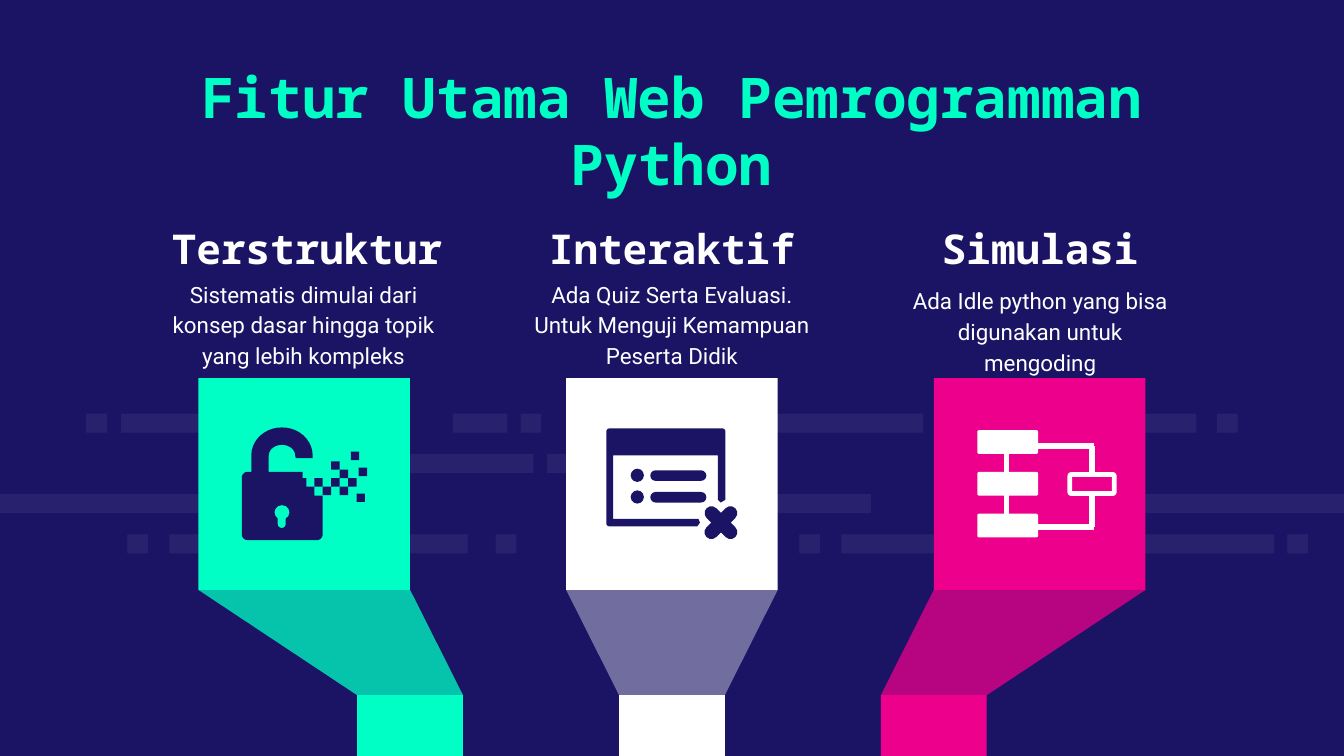
import math
from dataclasses import dataclass

import lxml.etree
import pptx
import pptx.dml.color
import pptx.enum.shapes
import pptx.enum.text
import pptx.oxml.ns
import pptx.util

Cm = pptx.util.Cm
SHAPE = pptx.enum.shapes.MSO_SHAPE
ANCHOR = pptx.enum.text.MSO_ANCHOR
Points = list[tuple[float, float]]

COLORS = {"navy": "1B1464", "mint": "00FFC5", "white": "FFFFFF", "pink": "EC008C"}
MONO, SANS = "Noto Sans Mono", "Roboto"
SLIDE_WIDTH, SLIDE_HEIGHT = 25.4, 14.29
BLOCK_SIZE, BLOCK_TOP, NECK_WIDTH, NECK_BOTTOM = 4.0, 7.15, 2.0, 13.14


@dataclass
class Feature:
    heading: str
    description: str
    description_top: float
    heading_width: float
    color: str
    neck_layers: list[tuple[str, int]]  # colour and opacity in percent


FEATURES = [
    Feature("Terstruktur", "Sistematis dimulai dari konsep dasar hingga topik yang lebih kompleks",
            5.23, 5.87, "mint", [("mint", 100), ("navy", 25)]),
    Feature("Interaktif", "Ada Quiz Serta Evaluasi. Untuk Menguji Kemampuan Peserta Didik",
            5.23, 5.74, "white", [("white", 38)]),
    Feature("Simulasi", "Ada Idle python yang bisa digunakan untuk mengoding",
            5.36, 5.74, "pink", [("pink", 100), ("navy", 25)]),
]

# Left and width of the faint dashes, row by row
DASH_ROWS = [
    [(1.63, 0.39), (2.29, 3.71), (8.56, 1.03), (9.84, 0.39), (14.25, 3.2), (19.41, 3.2), (23, 0.39)],
    [(7.59, 2.49), (10.34, 1.02)],
    [(0, 3.76), (12.7, 3.76), (21.64, 3.76)],
    [(2.41, 0.39), (3.2, 5.64), (9.37, 0.39), (15.11, 0.39), (15.9, 8.18), (24.33, 0.39)],
]
LOCK_PIXELS = [(5.94, 9.04), (6.1, 9.2), (6.26, 8.72), (6.26, 9.04), (6.42, 8.88), (6.42, 9.2),
               (6.58, 9.04), (6.63, 8.54), (6.74, 9.33), (6.78, 8.84)]

presentation = pptx.Presentation()
presentation.slide_width, presentation.slide_height = Cm(SLIDE_WIDTH), Cm(SLIDE_HEIGHT)
slide = presentation.slides.add_slide(presentation.slide_layouts[6])


def rgb(color: str) -> pptx.dml.color.RGBColor:
    return pptx.dml.color.RGBColor.from_string(COLORS[color])


def paint(shape, color: str, opacity: int = 100) -> None:
    shape.shadow.inherit = False
    shape.line.fill.background()
    shape.fill.solid()
    shape.fill.fore_color.rgb = rgb(color)
    if opacity < 100:
        color_element = shape.fill._xPr.find(".//" + pptx.oxml.ns.qn("a:srgbClr"))
        alpha = lxml.etree.SubElement(color_element, pptx.oxml.ns.qn("a:alpha"))
        alpha.set("val", str(opacity * 1000))


def add_preset(kind, left: float, top: float, width: float, height: float,
               color: str, opacity: int = 100):
    shape = slide.shapes.add_shape(kind, Cm(left), Cm(top), Cm(width), Cm(height))
    paint(shape, color, opacity)
    return shape


def add_capsule(left: float, top: float, width: float, height: float, color: str):
    shape = add_preset(SHAPE.ROUNDED_RECTANGLE, left, top, width, height, color)
    shape.adjustments[0] = 0.5
    return shape


def add_outline(points: Points, color: str, opacity: int = 100) -> None:
    corners = [(Cm(x), Cm(y)) for x, y in points]
    builder = slide.shapes.build_freeform(*corners[0])
    builder.add_line_segments(corners[1:], close=True)
    paint(builder.convert_to_shape(), color, opacity)


def arc(x: float, y: float, radius_x: float, radius_y: float, start: int, end: int) -> Points:
    steps = max(4, abs(end - start) // 9)
    angles = [math.radians(start + (end - start) * i / steps) for i in range(steps + 1)]
    return [(x + radius_x * math.cos(a), y + radius_y * math.sin(a)) for a in angles]


def add_link(x1: float, y1: float, x2: float, y2: float) -> None:
    connector = slide.shapes.add_connector(
        pptx.enum.shapes.MSO_CONNECTOR.STRAIGHT, Cm(x1), Cm(y1), Cm(x2), Cm(y2))
    connector.line.color.rgb = rgb("white")
    connector.line.width = Cm(0.11)
    lxml.etree.SubElement(connector._element.spPr, pptx.oxml.ns.qn("a:effectLst"))


def add_text(text: str, left: float, top: float, width: float, height: float, size: int,
             font: str, color: str = "white", anchor=ANCHOR.TOP, spacing: float = 1.0,
             inset_top: float = 0.25, inset_bottom: float = 0.25) -> None:
    frame = slide.shapes.add_textbox(Cm(left), Cm(top), Cm(width), Cm(height)).text_frame
    frame.word_wrap = True
    frame.vertical_anchor = anchor
    frame.margin_left = frame.margin_right = Cm(0.25)
    frame.margin_top, frame.margin_bottom = Cm(inset_top), Cm(inset_bottom)
    frame.text = text
    paragraph = frame.paragraphs[0]
    paragraph.alignment = pptx.enum.text.PP_ALIGN.CENTER
    paragraph.line_spacing = spacing
    run_font = paragraph.runs[0].font
    run_font.name, run_font.size, run_font.bold = font, pptx.util.Pt(size), font == MONO
    run_font.color.rgb = rgb(color)


def add_feature(feature: Feature, column: int) -> None:
    block_left, neck_left = 3.75 + 6.95 * column, 6.75 + 4.95 * column
    text_left, block_bottom = 2.87 + 6.96 * column, BLOCK_TOP + BLOCK_SIZE
    for color, opacity in feature.neck_layers:
        add_outline([(block_left, block_bottom), (block_left + BLOCK_SIZE, block_bottom),
                     (neck_left + NECK_WIDTH, NECK_BOTTOM), (neck_left, NECK_BOTTOM)], color, opacity)
    add_preset(SHAPE.RECTANGLE, neck_left, NECK_BOTTOM, NECK_WIDTH, SLIDE_HEIGHT - NECK_BOTTOM,
               feature.color)
    add_preset(SHAPE.RECTANGLE, block_left, BLOCK_TOP, BLOCK_SIZE, BLOCK_SIZE, feature.color)
    add_text(feature.heading, text_left, 3.96, feature.heading_width, 1.19, 22, MONO,
             anchor=ANCHOR.BOTTOM, inset_bottom=0)
    add_text(feature.description, text_left, feature.description_top, 5.74, 1.19, 12, SANS,
             spacing=1.15, inset_top=0)


def add_lock_icon() -> None:
    shackle = (arc(5.33, 8.61, 0.58, 0.53, 180, 360) + [(5.91, 8.66), (5.59, 8.66)]
               + arc(5.33, 8.61, 0.25, 0.2, 360, 180))
    stairs = [(5.08, 8.92), (5.72, 8.92), (5.72, 9.04), (5.79, 9.04), (5.79, 9.2),
              (5.94, 9.2), (5.94, 9.37), (6.1, 9.37)]
    body = (arc(5.99, 10.1, 0.11, 0.11, 0, 90) + arc(4.68, 10.1, 0.11, 0.11, 90, 180)
            + arc(4.68, 9.03, 0.11, 0.11, 180, 270) + [(4.75, 8.92)])
    add_outline(shackle + stairs + body, "navy")
    add_preset(SHAPE.OVAL, 5.19, 9.55, 0.28, 0.27, "mint")
    add_capsule(5.25, 9.7, 0.15, 0.28, "mint")
    for left, top in LOCK_PIXELS:
        add_preset(SHAPE.RECTANGLE, left, top, 0.16, 0.16, "navy")


def add_quiz_icon() -> None:
    add_outline(arc(11.52, 8.16, 0.06, 0.06, 180, 270) + arc(13.65, 8.16, 0.06, 0.06, 270, 360)
                + [(13.71, 9.45), (13.62, 9.5), (13.57, 9.45), (13.57, 8.61), (11.59, 8.61),
                   (11.59, 9.81), (13.2, 9.81), (13.23, 9.88), (13.18, 9.95)]
                + arc(11.52, 9.89, 0.06, 0.06, 90, 180), "navy")
    for top in (8.86, 9.27):
        add_preset(SHAPE.OVAL, 11.92, top, 0.25, 0.25, "navy")
        add_capsule(12.29, top + 0.03, 1.06, 0.2, "navy")
    for angle in (45, -45):  # cross
        add_capsule(13.24, 9.75, 0.77, 0.26, "navy").rotation = angle


def add_flow_icon() -> None:
    add_link(19.02, 8.5, 19.02, 9.8)
    for row in range(3):
        box = add_preset(SHAPE.ROUNDED_RECTANGLE, 18.47, 8.13 + 0.79 * row, 1.15, 0.45, "white")
        box.adjustments[0] = 0.08
    for outer, inner in ((8.43, 8.94), (9.96, 9.35)):
        add_link(19.6, outer, 20.68, outer)
        add_link(20.63, outer, 20.63, inner)
    frame = add_preset(SHAPE.ROUNDED_RECTANGLE, 20.22, 8.97, 0.84, 0.36, "white")
    frame.adjustments[0] = 0.08
    frame.fill.background()
    frame.line.color.rgb = rgb("white")
    frame.line.width = Cm(0.09)


# Background
slide.background.fill.solid()
slide.background.fill.fore_color.rgb = rgb("navy")
for row_index, dashes in enumerate(DASH_ROWS):
    for dash_left, dash_width in dashes:
        add_preset(SHAPE.RECTANGLE, dash_left, 7.82 + 0.76 * row_index, dash_width, 0.36, "white", 6)

# Title and feature columns
add_text("Fitur Utama Web Pemrogramman Python", 3.55, 0.93, 18.29, 1.86, 30, MONO, "mint")
for column_index, item in enumerate(FEATURES):
    add_feature(item, column_index)

# Icons
add_lock_icon()
add_quiz_icon()
add_flow_icon()

presentation.save("out.pptx")
